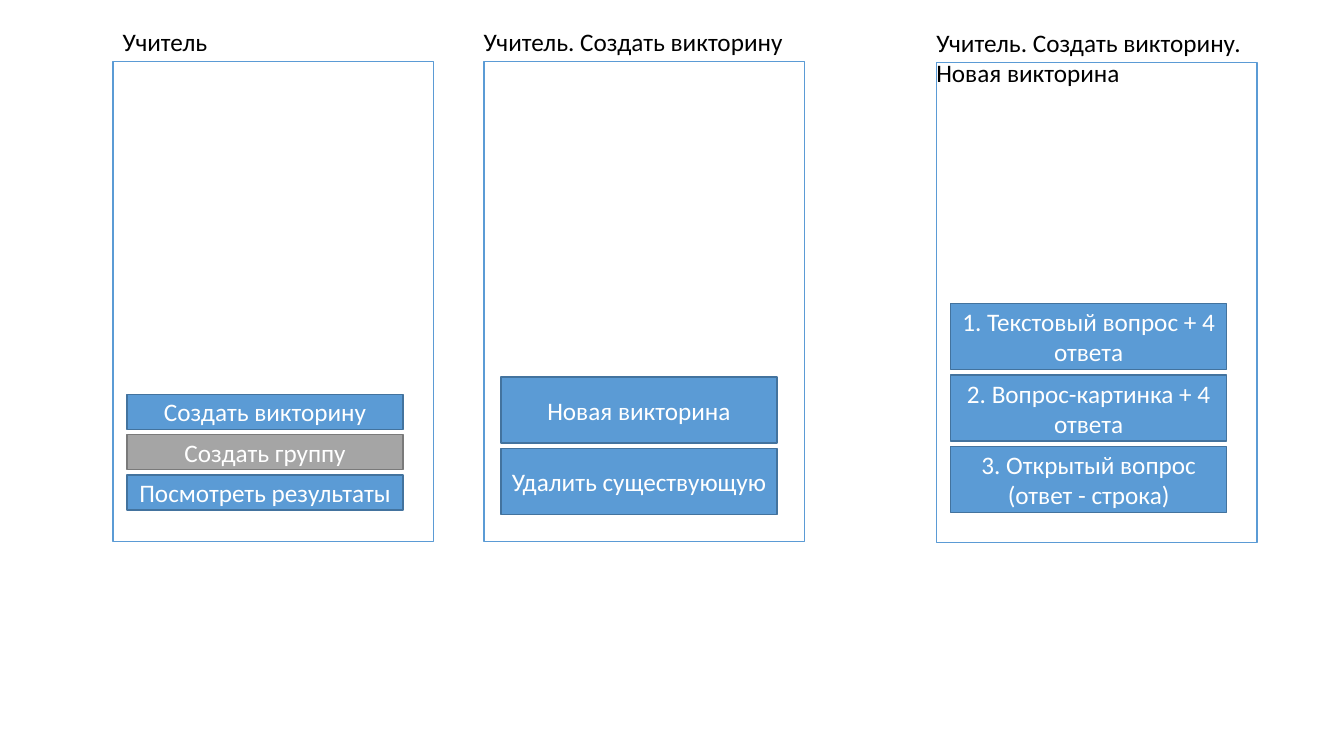
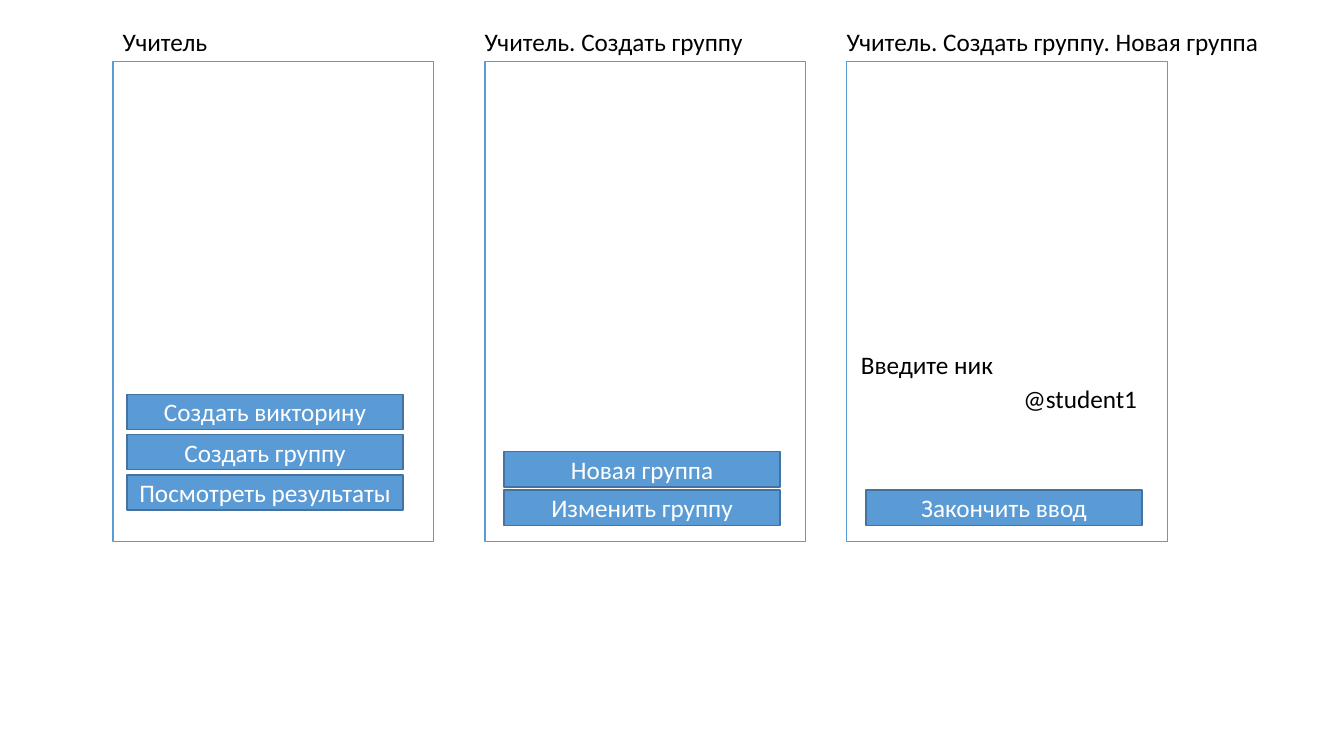
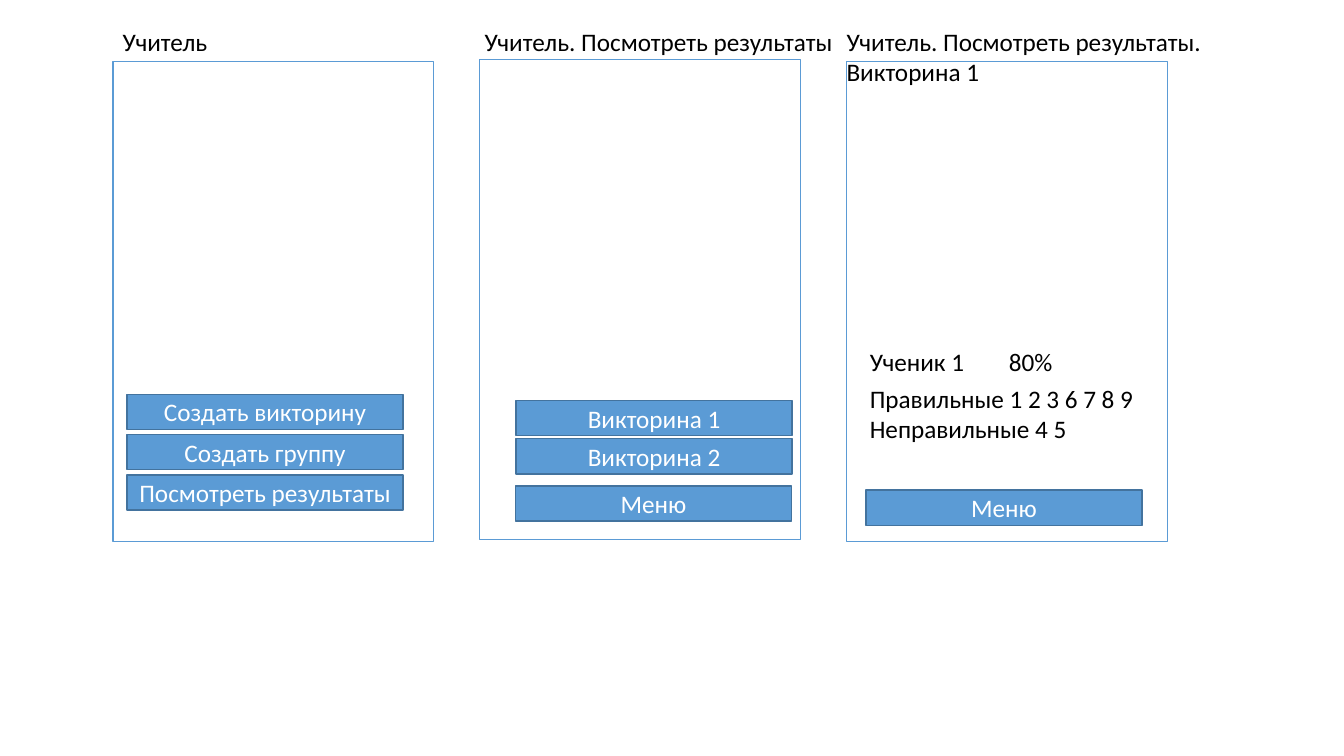
from dataclasses import dataclass

from lxml import etree
from pptx import Presentation
from pptx.dml import color as dml
from pptx.enum import shapes, text
from pptx.oxml import ns
from pptx.util import Pt

FONT = "Calibri"
BLUE = ("5B9BD5", "43739E")
GRAY = ("A5A5A5", "7A7A7A")
SCREEN_SIZE = (229, 343)
BUTTON_WIDTH = 197.3
SMALL, LARGE = 25.2, 47
LINE_HEIGHT = 22
INSET = 7.2


@dataclass
class Buttons:
    labels: tuple
    left: float
    top: float
    height: float = SMALL
    pitch: float = 27.4
    disabled: tuple = ()


@dataclass
class Note:
    lines: tuple
    left: float
    top: float
    width: float
    align: object = text.PP_ALIGN.LEFT
    tab: float = 0


@dataclass
class Screen:
    caption: tuple
    left: float
    caption_width: float
    contents: tuple
    top: float = 44
    caption_left: float = -INSET
    caption_top: float = -28.8


def rgb(value):
    return dml.RGBColor.from_string(value)


def set_values(target, values):
    for name, value in values.items():
        setattr(target, name, value)


def write_lines(frame, lines, color, align, wrap, anchor):
    set_values(frame, {"word_wrap": wrap, "vertical_anchor": anchor})
    frame.text = "\n".join(lines)
    for paragraph in frame.paragraphs:
        paragraph.alignment = align
        for run in paragraph.runs:
            set_values(run.font, {"name": FONT, "size": Pt(18)})
            run.font.color.rgb = rgb(color)


def add_label(slide, lines, left, top, width, align=text.PP_ALIGN.LEFT, wrap=False):
    height = len(lines) * LINE_HEIGHT + INSET
    shape = slide.shapes.add_textbox(Pt(left), Pt(top), Pt(width), Pt(height))
    write_lines(shape.text_frame, lines, "000000", align, wrap, text.MSO_ANCHOR.TOP)
    return shape


def add_box(slide, left, top, width, height, fill, line):
    shape = slide.shapes.add_shape(
        shapes.MSO_SHAPE.RECTANGLE, Pt(left), Pt(top), Pt(width), Pt(height)
    )
    shape.shadow.inherit = False
    shape.fill.solid()
    shape.fill.fore_color.rgb = rgb(fill)
    shape.line.color.rgb = rgb(line)
    shape.line.width = Pt(1)
    return shape


def add_buttons(slide, left, top, buttons):
    for index, label in enumerate(buttons.labels):
        fill, line = GRAY if label in buttons.disabled else BLUE
        button_top = top + buttons.top + index * buttons.pitch
        shape = add_box(slide, left + buttons.left, button_top,
                        BUTTON_WIDTH, buttons.height, fill, line)
        write_lines(shape.text_frame, (label,), "FFFFFF",
                    text.PP_ALIGN.CENTER, True, text.MSO_ANCHOR.MIDDLE)


def add_note(slide, left, top, note):
    shape = add_label(slide, note.lines, left + note.left, top + note.top,
                      note.width, note.align, True)
    if note.tab:
        for paragraph in shape.text_frame.paragraphs:
            properties = paragraph._p.get_or_add_pPr()
            tabs = etree.SubElement(properties, ns.qn("a:tabLst"))
            etree.SubElement(tabs, ns.qn("a:tab"), pos=str(Pt(note.tab)), algn="l")


def add_screen(slide, screen):
    add_box(slide, screen.left, screen.top, *SCREEN_SIZE, "FFFFFF", BLUE[0])
    add_label(slide, screen.caption, screen.left + screen.caption_left,
              screen.top + screen.caption_top, screen.caption_width)
    for item in screen.contents:
        add_item = add_buttons if isinstance(item, Buttons) else add_note
        add_item(slide, screen.left, screen.top, item)


def teacher_menu(disabled=()):
    labels = ("Создать викторину", "Создать группу", "Посмотреть результаты")
    buttons = Buttons(labels, 10.1, 237.6, pitch=28.8, disabled=disabled)
    return Screen(("Учитель",), 80.6, 75.6, (buttons,), caption_left=0)


QUIZ_SCREENS = (
    teacher_menu(disabled=("Создать группу",)),
    Screen(("Учитель. Создать викторину",), 345.6, 230.4, (
        Buttons(("Новая викторина", "Удалить существующую"), 12.2, 225.4, LARGE, 51),
    )),
    Screen(("Учитель. Создать викторину.", "Новая викторина"), 668.9, 239, (
        Buttons(("1. Текстовый вопрос + 4 ответа",
                 "2. Вопрос-картинка + 4 ответа",
                 "3. Открытый вопрос (ответ - строка)"), 10.1, 172.4, LARGE, 51),
    ), top=44.6),
)

GROUP_SCREENS = (
    teacher_menu(),
    Screen(("Учитель. Создать группу",), 346.3, 200.9, (
        Buttons(("Новая группа", "Изменить группу"), 13.7, 278.6),
    )),
    Screen(("Учитель. Создать группу. Новая группа",), 604.8, 311.8, (
        Note(("Введите ник",), 3, 202.3, 211.5),
        Note(("@student1",), 3, 226, 211.5, text.PP_ALIGN.RIGHT),
        Buttons(("Закончить ввод",), 13.7, 306),
    )),
)

RESULT_SCREENS = (
    teacher_menu(),
    Screen(("Учитель. Посмотреть результаты",), 342.7, 266.4, (
        Buttons(("Викторина 1", "Викторина 2"), 25.9, 243.4),
        Buttons(("Меню",), 25.4, 304.6),
    ), top=42.5, caption_left=-3.6, caption_top=-27.4),
    Screen(("Учитель. Посмотреть результаты.", "Викторина 1"), 604.8, 275, (
        Note(("Ученик 1\t80%",), 9.4, 199.5, 215, tab=99.4),
        Note(("Правильные 1 2 3 6 7 8 9", "Неправильные 4 5"), 9.4, 226, 215),
        Buttons(("Меню",), 13.7, 306),
    )),
)


def main():
    presentation = Presentation()
    set_values(presentation, {"slide_width": Pt(960), "slide_height": Pt(540)})
    blank_layout = presentation.slide_layouts[6]
    for screens in (QUIZ_SCREENS, GROUP_SCREENS, RESULT_SCREENS):
        slide = presentation.slides.add_slide(blank_layout)
        for screen in screens:
            add_screen(slide, screen)
    presentation.save("out.pptx")


if __name__ == "__main__":
    main()
